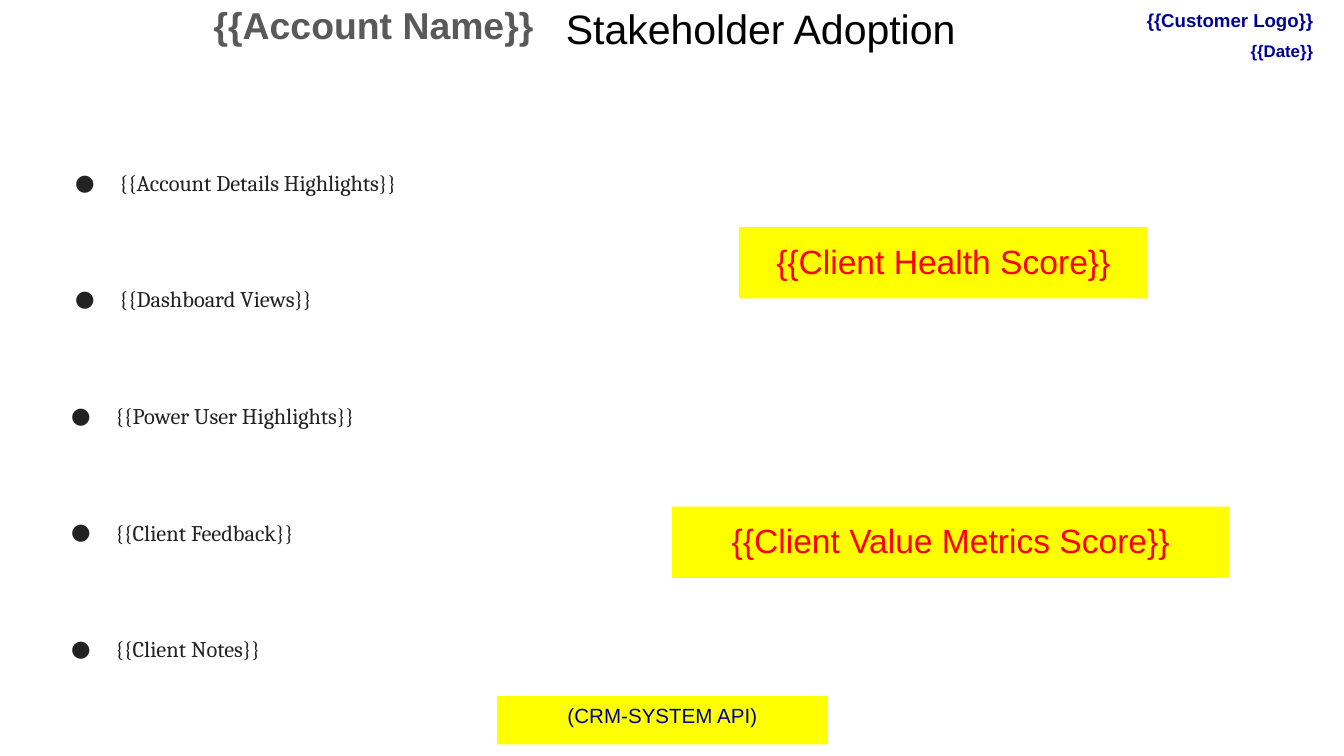
from lxml import etree
from pptx import Presentation
from pptx.dml.color import RGBColor
from pptx.enum.shapes import MSO_SHAPE
from pptx.enum.text import MSO_ANCHOR, PP_ALIGN
from pptx.oxml.ns import qn
from pptx.util import Inches, Pt

RECTANGLE = MSO_SHAPE.RECTANGLE
TOP, MIDDLE = MSO_ANCHOR.TOP, MSO_ANCHOR.MIDDLE
LEFT, CENTER, RIGHT = PP_ALIGN.LEFT, PP_ALIGN.CENTER, PP_ALIGN.RIGHT
COLORS = {
    "highlight": "FFFF00",
    "score": "FF0000",
    "body": "222222",
    "navy": "000099",
    "account": "595959",
    "title": "000000",
}

prs = Presentation()
prs.slide_width = Inches(10)
prs.slide_height = Inches(10) * 9 // 16
slide = prs.slides.add_slide(prs.slide_layouts[6])


def write(box, text, size, color, align=LEFT, spacing=None, bold=False,
          font="Arial", inset=(0.1, 0.1), anchor=TOP):
    frame = box.text_frame
    frame.word_wrap = True
    frame.vertical_anchor = anchor
    frame.margin_left = frame.margin_right = Inches(inset[0])
    frame.margin_top = frame.margin_bottom = Inches(inset[1])
    frame.text = text
    paragraph = frame.paragraphs[0]
    paragraph.alignment = align
    paragraph.line_spacing = spacing
    run_font = paragraph.runs[0].font
    run_font.name, run_font.size, run_font.bold = font, Pt(size), bold
    run_font.color.rgb = RGBColor.from_string(COLORS[color])
    return paragraph


highlights = [
    ("{{Client Health Score}}", 5.5, 1.69, 3.04, 0.53, 18, "score", None, 0.1),
    ("{{Client Value Metrics Score}}", 5, 3.77, 4.15, 0.53, 18, "score", None, 0.1),
    ("(CRM-SYSTEM API)", 3.7, 5.18, 2.46, 0.36, 11, "navy", 0.85, 0.08),
]
for text, left, top, width, height, size, color, spacing, padding in highlights:
    panel = slide.shapes.add_shape(
        RECTANGLE, Inches(left), Inches(top), Inches(width), Inches(height))
    panel.shadow.inherit = False
    panel.fill.solid()
    panel.fill.fore_color.rgb = RGBColor.from_string(COLORS["highlight"])
    panel.line.fill.background()
    write(panel, text, size, color, CENTER, spacing, inset=(0.1, padding))

topics = [
    ("{{Account Details Highlights}}", 0.29, 0.4),
    ("{{Dashboard Views}}", 0.29, 0.4),
    ("{{Power User Highlights}}", 0.26, 0.4),
    ("{{Client Feedback}}", 0.26, 0.52),
    ("{{Client Notes}}", 0.26, 0.52),
]
first_topic, last_topic = 1.19, 4.66
step = (last_topic - first_topic) / (len(topics) - 1)
for row, (text, left, height) in enumerate(topics):
    topic = slide.shapes.add_textbox(
        Inches(left), Inches(first_topic + row * step), Inches(3.28), Inches(height))
    paragraph = write(topic, text, 12, "body", spacing=0.9, font="Cambria")
    paragraph.space_before = Pt(10)
    properties = paragraph._p.get_or_add_pPr()
    properties.set("marL", str(Inches(0.5)))
    properties.set("indent", str(Inches(-0.33)))
    bullet_color = etree.SubElement(properties, qn("a:buClr"))
    etree.SubElement(bullet_color, qn("a:srgbClr"), val=COLORS["body"])
    etree.SubElement(properties, qn("a:buFont"), typeface="Cambria")
    etree.SubElement(properties, qn("a:buChar"), char="●")

headings = [
    ("{{Customer Logo}}", 8.17, 0.03, 1.64, 0.26, 10, "navy", RIGHT, True, (0.04, 0.02), MIDDLE),
    ("{{Date}}", 8.49, 0.26, 1.32, 0.26, 9, "navy", RIGHT, True, (0.04, 0.02), MIDDLE),
    ("Stakeholder Adoption", 4.14, 0.04, 3.78, 0.35, 22, "title", LEFT, False, (0.07, 0.04), TOP),
    ("{{Account Name}}", 1.57, 0.04, 2.73, 0.34, 20, "account", LEFT, True, (0.02, 0.02), MIDDLE),
]
for text, left, top, width, height, size, color, align, bold, inset, anchor in headings:
    heading = slide.shapes.add_textbox(
        Inches(left), Inches(top), Inches(width), Inches(height))
    write(heading, text, size, color, align, 0.85, bold, inset=inset, anchor=anchor)

prs.save("out.pptx")
